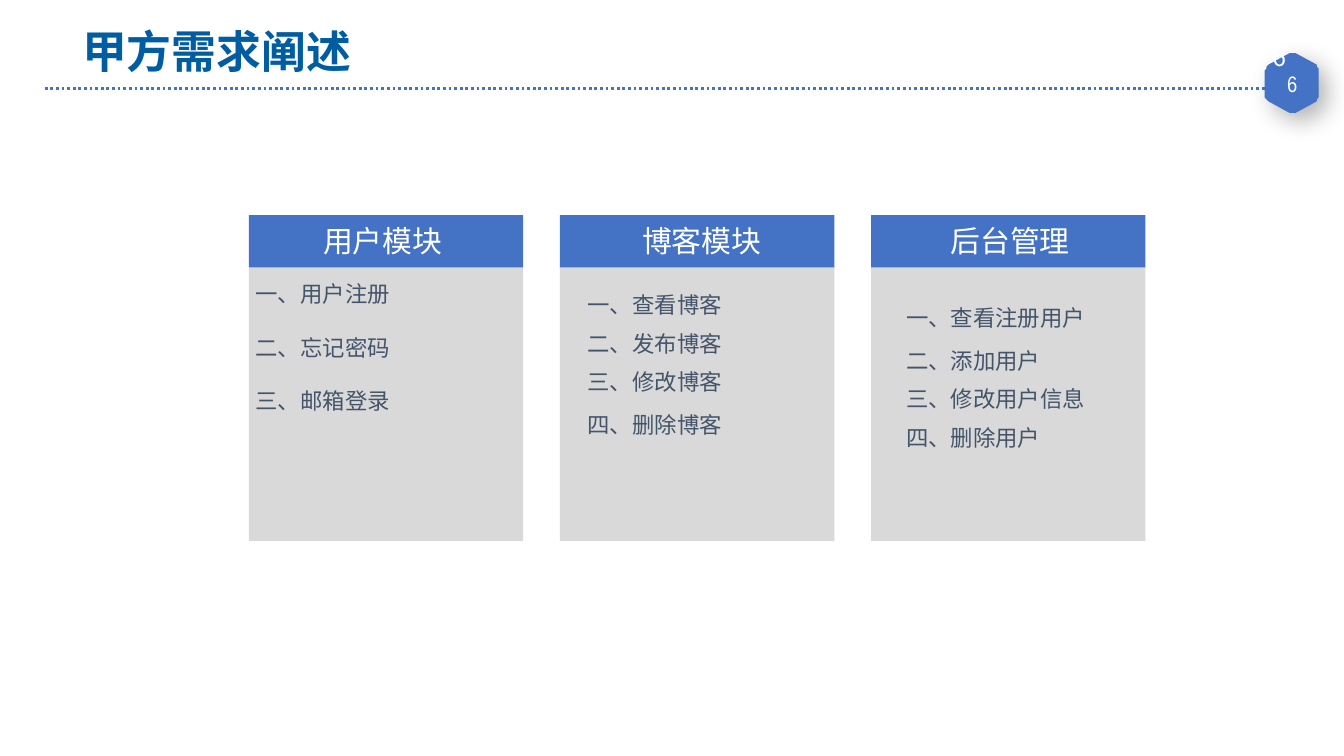
from math import cos, radians, sin

from lxml.etree import SubElement
from pptx import Presentation
from pptx.dml.color import RGBColor
from pptx.enum.dml import MSO_LINE_DASH_STYLE as Dash
from pptx.enum.shapes import MSO_CONNECTOR as Connector, MSO_SHAPE as Shape
from pptx.enum.text import MSO_ANCHOR as Anchor, MSO_AUTO_SIZE as AutoSize, PP_ALIGN as Align
from pptx.oxml.ns import qn
from pptx.util import Pt

COLORS = {"blue": "4472C4", "title": "005DA2", "panel": "D9D9D9", "text": "44546A",
          "white": "FFFFFF", "shadow": "000000"}
FONT = "Noto Sans CJK SC"
INSETS = (4.9, 2.6)
CARD_WIDTH, CARD_PITCH, HEAD_HEIGHT, BODY_HEIGHT = 147, 166.7, 28.2, 146.4
CARDS = [
    {"title": "用户模块", "title_box": (5.8, 131.8), "item_box": (-1.3, 162),
     "items": [("一、用户注册", 30.2), ("二、忘记密码", 59), ("三、邮箱登录", 87.8)]},
    {"title": "博客模块", "title_box": (19, 113.8), "item_box": (9.9, 127.4),
     "items": [("一、查看博客", 36), ("二、发布博客", 56.9), ("三、修改博客", 77.6),
               ("四、删除博客", 100.6)]},
    {"title": "后台管理", "title_box": (14.4, 120.2), "item_box": (13.8, 113.8),
     "items": [("一、查看注册用户", 43.2), ("二、添加用户", 66.4), ("三、修改用户信息", 86.4),
               ("四、删除用户", 107.2)]},
]


def color(name):
    """Return the named colour."""
    return RGBColor.from_string(COLORS[name])


def set_all(target, values):
    """Set each attribute in values on target."""
    for name, value in values.items():
        setattr(target, name, value)


def add_text(page, box, text, size, ink, font=FONT, bold=False, insets=INSETS,
             frame_format=None, **para_format):
    """Add one line of text in a box of left, top, width and height."""
    frame = page.shapes.add_textbox(*map(Pt, box)).text_frame
    across, down = map(Pt, insets)
    set_all(frame, {"word_wrap": True, "margin_left": across, "margin_right": across,
                    "margin_top": down, "margin_bottom": down, **(frame_format or {})})
    para = frame.paragraphs[0]
    set_all(para, para_format)
    span = para.add_run()
    span.text = text
    set_all(span.font, {"name": font, "size": Pt(size), "bold": bold})
    span.font.color.rgb = color(ink)
    SubElement(span.font._element, qn("a:ea"), typeface=font)


def add_panel(page, box, fill):
    """Add a plain filled rectangle."""
    panel = page.shapes.add_shape(Shape.RECTANGLE, *map(Pt, box))
    panel.shadow.inherit = False
    panel.fill.solid()
    panel.fill.fore_color.rgb = color(fill)
    panel.line.fill.background()


def rounded_hexagon(center_x, center_y, radius, cut, steps=4):
    """Return the points of an upright hexagon with rounded corners."""
    corners = [(center_x + radius * sin(radians(angle)), center_y - radius * cos(radians(angle)))
               for angle in range(0, 360, 60)]
    share = cut / radius
    points = []
    for index, corner in enumerate(corners):
        start, end = ([a + (b - a) * share for a, b in zip(corner, corners[near])]
                      for near in (index - 1, (index + 1) % 6))
        for step in range(steps + 1):
            t = step / steps
            points.append(tuple((1 - t) ** 2 * a + 2 * t * (1 - t) * b + t ** 2 * c
                                for a, b, c in zip(start, corner, end)))
    return points


def add_badge(page, left, top, width, height):
    """Add the hexagon with its shadow and the page number."""
    points = rounded_hexagon(left + width / 2, top + height / 2, 16.3, 2)
    builder = page.shapes.build_freeform(*points[0], scale=Pt(1))
    builder.add_line_segments(points[1:], close=True)
    badge = builder.convert_to_shape()
    badge.shadow.inherit = False
    badge.fill.solid()
    badge.fill.fore_color.rgb = color("blue")
    badge.line.color.rgb = color("blue")
    badge.line.width = Pt(1)
    effects = badge._element.spPr.find(qn("a:effectLst"))
    shadow = SubElement(effects, qn("a:outerShdw"), blurRad=str(Pt(13)), dist=str(Pt(6)),
                        dir=str(45 * 60000), algn="tl", rotWithShape="0")
    ink = SubElement(shadow, qn("a:srgbClr"), val=COLORS["shadow"])
    SubElement(ink, qn("a:alpha"), val="30000")
    add_text(page, (left, top + 7.2, width, 18), "6", 12, "white", font="Arial Narrow",
             frame_format={"vertical_anchor": Anchor.MIDDLE}, alignment=Align.CENTER)
    add_text(page, (left - 9.4, top - 10, 33.1, 28.1), "6", 13.5, "white",
             insets=(7.2, 3.6), alignment=Align.CENTER)


def add_header(page, left, top, width):
    """Add the title, the dotted rule and the badge."""
    rule_top = top + 37.4
    rule = page.shapes.add_connector(Connector.STRAIGHT, Pt(left), Pt(rule_top),
                                     Pt(left + width), Pt(rule_top))
    rule.line.color.rgb = color("blue")
    set_all(rule.line, {"width": Pt(1.5), "dash_style": Dash.ROUND_DOT})
    SubElement(rule._element.spPr, qn("a:effectLst"))
    add_badge(page, left + width - 0.8, top + 18.7, 28.1, 31.8)
    add_text(page, (left + 15.1, top, 336.2, 34.6), "甲方需求阐述", 24, "title", bold=True,
             frame_format={"auto_size": AutoSize.SHAPE_TO_FIT_TEXT})


def add_card(page, left, top, card):
    """Add one module card with its heading and items."""
    grow = {"auto_size": AutoSize.SHAPE_TO_FIT_TEXT}
    add_panel(page, (left, top, CARD_WIDTH, HEAD_HEIGHT), "blue")
    add_panel(page, (left, top + HEAD_HEIGHT, CARD_WIDTH, BODY_HEIGHT), "panel")
    offset, width = card["title_box"]
    add_text(page, (left + offset, top + 1.4, width, 24.5), card["title"], 16, "white",
             frame_format=grow, alignment=Align.CENTER)
    offset, width = card["item_box"]
    for item, drop in card["items"]:
        add_text(page, (left + offset, top + drop, width, 20.9), item, 12, "text",
                 frame_format=grow, alignment=Align.JUSTIFY, line_spacing=1.14)


def main():
    """Build the slide and save it."""
    deck = Presentation()
    set_all(deck, {"slide_width": Pt(720), "slide_height": Pt(405)})
    page = deck.slides.add_slide(deck.slide_layouts[6])
    add_header(page, 24, 10, 655)
    for index, card in enumerate(CARDS):
        add_card(page, 133.3 + index * CARD_PITCH, 115.2, card)
    deck.save("out.pptx")


main()
